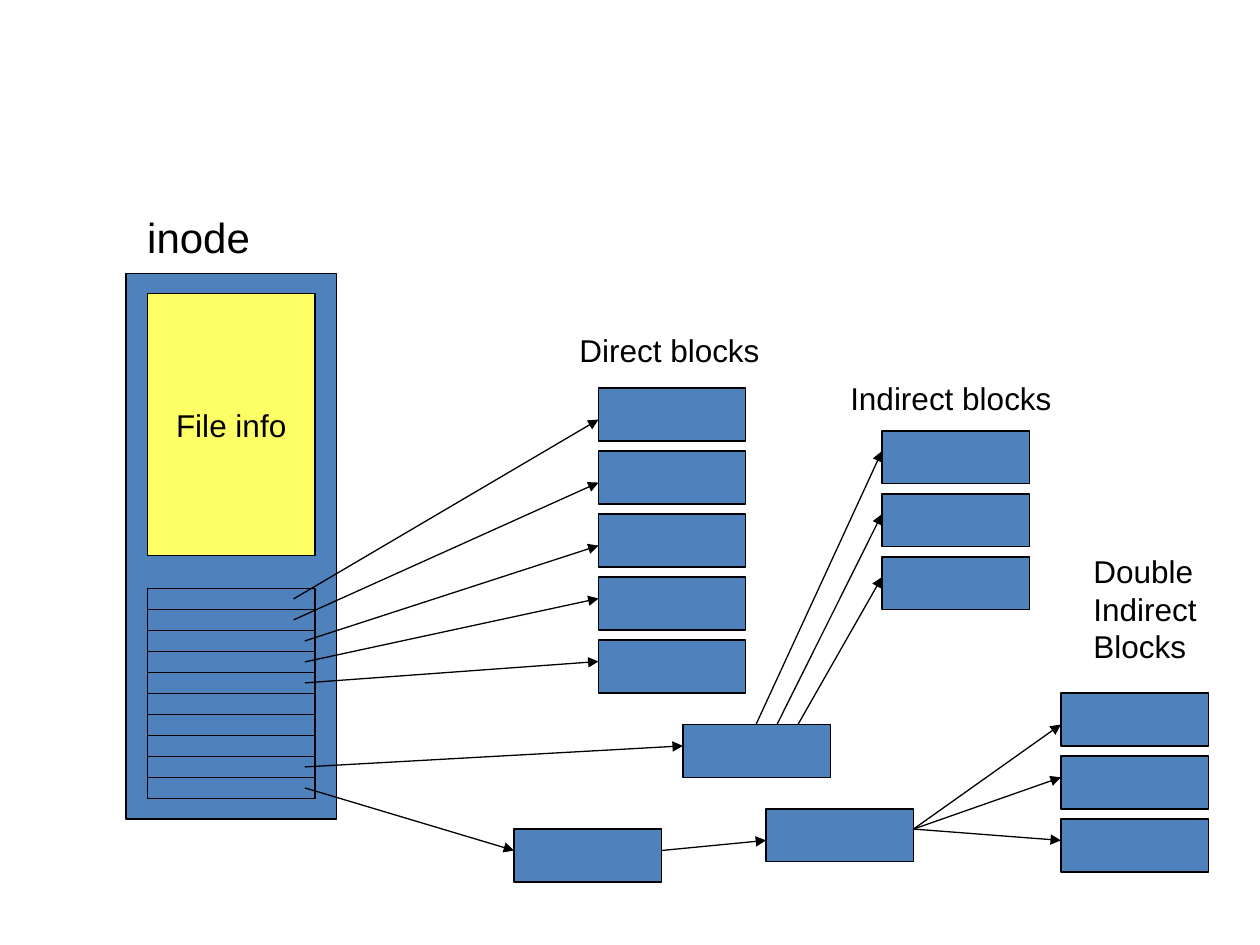
from dataclasses import dataclass
from typing import NamedTuple

from lxml.etree import SubElement
from pptx import Presentation
from pptx.dml.color import RGBColor
from pptx.enum.shapes import MSO_CONNECTOR as Connector, MSO_SHAPE as Preset
from pptx.enum.text import MSO_ANCHOR as Anchor, MSO_AUTO_SIZE as AutoSize, PP_ALIGN as Align
from pptx.oxml.ns import qn
from pptx.shapes.autoshape import Shape
from pptx.slide import Slide
from pptx.text.text import TextFrame
from pptx.util import Inches, Pt


@dataclass(frozen=True)
class Theme:
    """Colours, font and sizes of the slide."""
    block: RGBColor = RGBColor(0x4F, 0x81, 0xBD)
    info: RGBColor = RGBColor(0xFF, 0xFF, 0x66)
    ink: RGBColor = RGBColor(0, 0, 0)
    font: str = "Arial"
    heading: float = 24
    label: float = 18
    line: float = 0.75


class Box(NamedTuple):
    """A rectangle in inches."""
    left: float
    top: float
    width: float
    height: float


class Stack(NamedTuple):
    """Equal boxes placed one below the other at a fixed pitch."""
    left: float
    top: float
    width: float
    height: float
    pitch: float
    count: int


class Label(NamedTuple):
    """A caption with one paragraph per line."""
    box: Box
    lines: tuple[str, ...]
    size: float


class Arrow(NamedTuple):
    """A straight pointer from one point to another."""
    start: tuple[float, float]
    end: tuple[float, float]


THEME = Theme()
BLOCK_WIDTH, BLOCK_HEIGHT, BLOCK_PITCH = 1.17, 0.42, 0.5
SLOT_PITCH = 1 / 6
SLOT_TOP = 4.67
DIRECT_LEFT, INDIRECT_LEFT, DOUBLE_LEFT = 4.75, 7, 8.42
INODE = Box(1, 2.17, 1.67, 4.33)
FILE_INFO = Box(1.17, 2.33, 1.33, 2.08)


def blocks(left: float, top: float, count: int = 1) -> Stack:
    """Return a stack of data blocks."""
    return Stack(left, top, BLOCK_WIDTH, BLOCK_HEIGHT, BLOCK_PITCH, count)


def slot_middle(index: int) -> float:
    """Return the vertical middle of a pointer slot in the inode."""
    return SLOT_TOP + (index + 0.5) * SLOT_PITCH


STACKS = (
    Stack(1.17, SLOT_TOP, 1.33, SLOT_PITCH, SLOT_PITCH, 10),
    blocks(DIRECT_LEFT, 3.08, 5),
    blocks(5.42, 5.75),
    blocks(6.08, 6.42),
    blocks(INDIRECT_LEFT, 3.42, 3),
    blocks(DOUBLE_LEFT, 5.5, 3),
    blocks(4.08, 6.58),
)

LABELS = (
    Label(Box(1.07, 1.63, 1.02, 0.5), ("inode",), THEME.heading),
    Label(Box(4.5, 2.58, 1.63, 0.4), ("Direct blocks",), THEME.label),
    Label(Box(6.65, 2.96, 1.8, 0.4), ("Indirect blocks",), THEME.label),
    Label(Box(8.58, 4.33, 1.09, 1), ("Double", "Indirect", "Blocks"), THEME.label),
)

DIRECT_STARTS = (2.33, 2.33, 2.42, 2.42, 2.42)
DIRECT_ENDS = (3.33, 3.83, 4.33, 4.75, 5.25)
ARROWS = (
    *(Arrow((x, slot_middle(i)), (DIRECT_LEFT, y))
      for i, (x, y) in enumerate(zip(DIRECT_STARTS, DIRECT_ENDS))),
    Arrow((2.42, slot_middle(8)), (5.42, 5.92)),
    *(Arrow((6 + i / 6, 5.75), (INDIRECT_LEFT, 3.58 + i * BLOCK_PITCH)) for i in range(3)),
    *(Arrow((7.25, 6.58), (DOUBLE_LEFT, y)) for y in (5.75, 6.17, 6.67)),
    Arrow((2.42, slot_middle(9)), (4.08, 6.75)),
    Arrow((5.25, 6.75), (6.08, 6.67)),
)


def write_lines(frame: TextFrame, lines: tuple[str, ...], size: float, align: Align) -> None:
    """Write each line as its own paragraph."""
    frame.word_wrap = False
    for index, line in enumerate(lines):
        paragraph = frame.add_paragraph() if index else frame.paragraphs[0]
        paragraph.alignment = align
        run = paragraph.add_run()
        run.text = line
        run.font.name = THEME.font
        run.font.size = Pt(size)
        run.font.color.rgb = THEME.ink


def draw_box(slide: Slide, box: Box, fill: RGBColor) -> Shape:
    """Draw an outlined rectangle."""
    shape = slide.shapes.add_shape(Preset.RECTANGLE, *map(Inches, box))
    shape.shadow.inherit = False
    shape.fill.solid()
    shape.fill.fore_color.rgb = fill
    shape.line.color.rgb = THEME.ink
    shape.line.width = Pt(THEME.line)
    return shape


def draw_stack(slide: Slide, stack: Stack) -> None:
    """Draw every box of a stack."""
    for index in range(stack.count):
        top = stack.top + index * stack.pitch
        draw_box(slide, Box(stack.left, top, stack.width, stack.height), THEME.block)


def draw_label(slide: Slide, label: Label) -> None:
    """Draw a caption."""
    frame = slide.shapes.add_textbox(*map(Inches, label.box)).text_frame
    frame.auto_size = AutoSize.SHAPE_TO_FIT_TEXT
    write_lines(frame, label.lines, label.size, Align.LEFT)


def draw_arrow(slide: Slide, arrow: Arrow) -> None:
    """Draw a line with a triangular head at its end."""
    connector = slide.shapes.add_connector(
        Connector.STRAIGHT, *map(Inches, (*arrow.start, *arrow.end)))
    connector.line.color.rgb = THEME.ink
    connector.line.width = Pt(THEME.line)
    SubElement(connector.line._get_or_add_ln(), qn("a:tailEnd"), type="triangle")
    SubElement(connector._element.spPr, qn("a:effectLst"))


def build() -> None:
    """Build and save the inode diagram."""
    presentation = Presentation()
    presentation.slide_width, presentation.slide_height = Inches(10), Inches(7.5)
    slide = presentation.slides.add_slide(presentation.slide_layouts[6])
    draw_box(slide, INODE, THEME.block)
    info_frame = draw_box(slide, FILE_INFO, THEME.info).text_frame
    info_frame.vertical_anchor = Anchor.MIDDLE
    write_lines(info_frame, ("File info",), THEME.label, Align.CENTER)
    for stack in STACKS:
        draw_stack(slide, stack)
    for label in LABELS:
        draw_label(slide, label)
    for arrow in ARROWS:
        draw_arrow(slide, arrow)
    presentation.save("out.pptx")


build()
